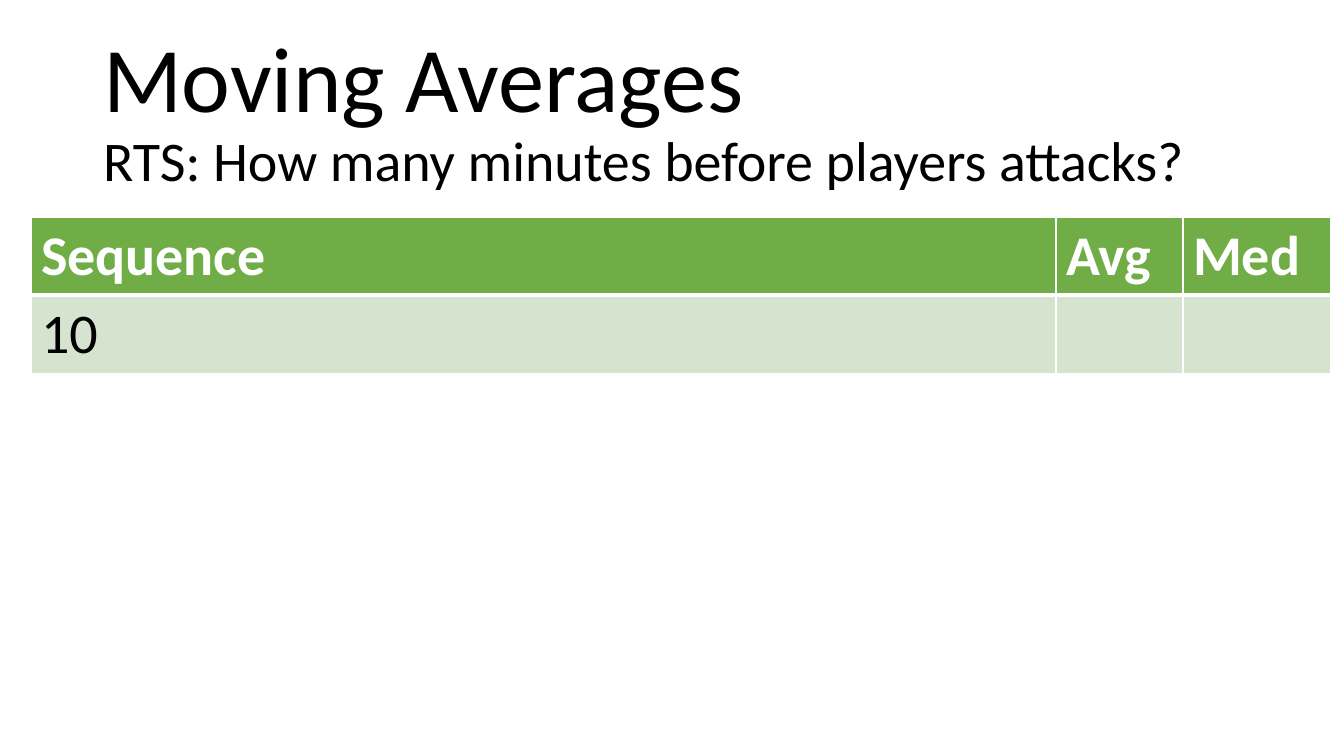
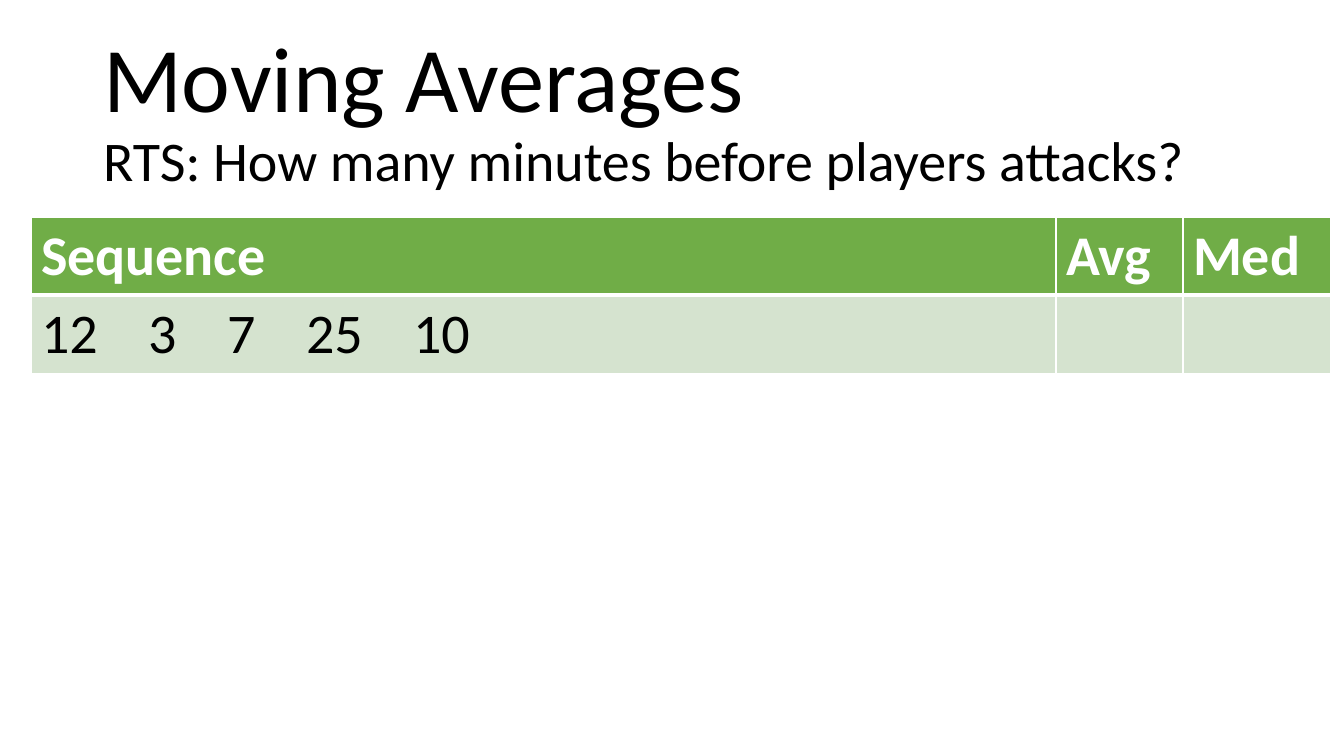
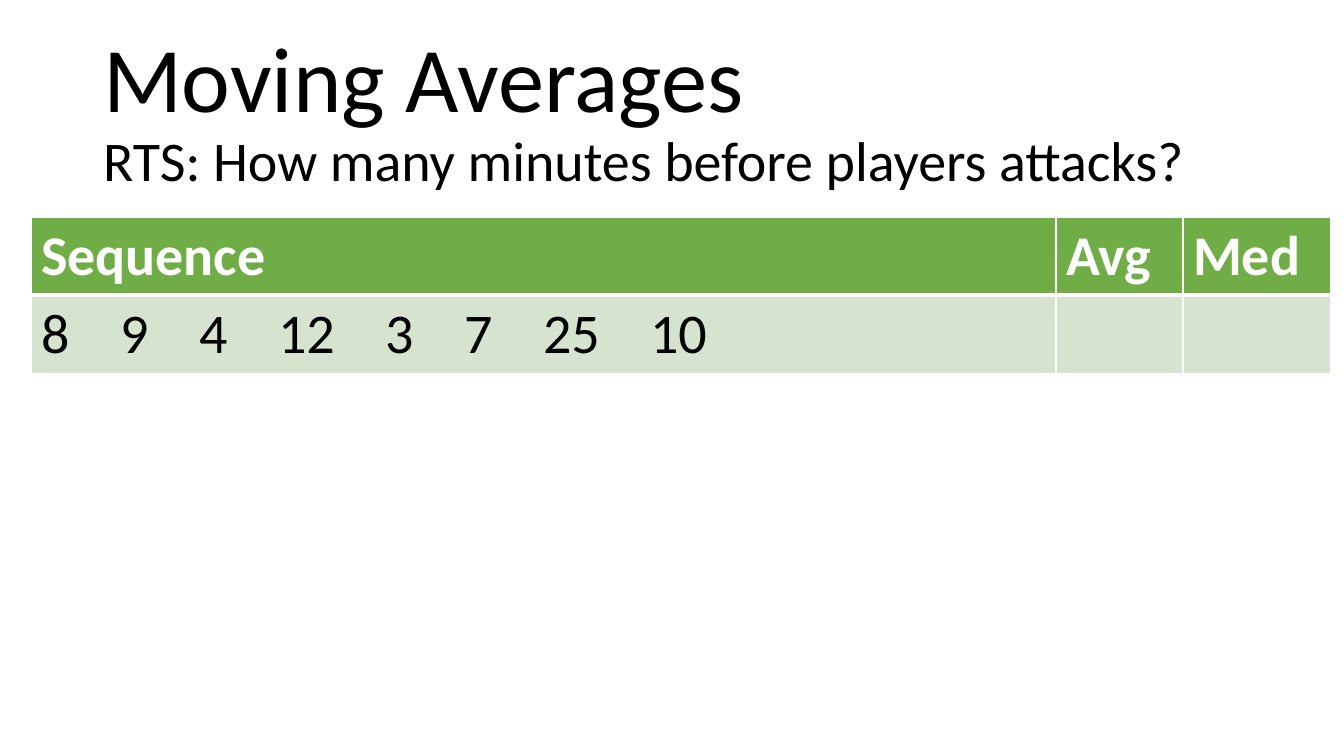
from lxml.etree import SubElement
from pptx import Presentation
from pptx.dml.color import RGBColor
from pptx.enum.text import MSO_ANCHOR, MSO_AUTO_SIZE, PP_ALIGN
from pptx.oxml.ns import qn
from pptx.util import Pt

# Shared look
FONT = "Calibri"
BLACK, WHITE, GREEN, PALE = "000000", "FFFFFF", "70AD47", "D5E3CF"
HEADS = ["Sequence", "Avg", "Med"]
WIDTHS = [1025, 127, 148]
ROW = 77
DIGIT, GAP = 28, 51  # width of one digit, space between numbers

# Sequence on each slide
RUNS = [
    [10],
    [12, 3, 7, 25, 10],
    [8, 9, 4, 12, 3, 7, 25, 10],
]


def px(n):
    return round(n * 914400 / 100.8)


def rgb(code):
    return RGBColor.from_string(code)


def style(run, size, color, bold=False):
    font = run.font
    font.name, font.size, font.bold = FONT, Pt(size), bold
    font.color.rgb = rgb(color)


def place(shape, left, top, width, height):
    shape.left, shape.top = px(left), px(top)
    shape.width, shape.height = px(width), px(height)


def add_title(slide, head, line):
    title = slide.shapes.title
    frame = title.text_frame
    frame.auto_size = MSO_AUTO_SIZE.NONE
    frame.vertical_anchor = MSO_ANCHOR.MIDDLE
    para = frame.paragraphs[0]
    para.text = f"{head}\v{line}"
    para.alignment = PP_ALIGN.LEFT
    para.line_spacing = 0.9
    for run, size in zip(para.runs, (66, 40)):
        style(run, size, BLACK)


def add_tabs(para, nums):
    """Put a tab stop where each number after the first begins."""
    tabs = SubElement(para._p.get_or_add_pPr(), qn("a:tabLst"))
    stop = 0
    for num in nums[:-1]:
        stop += DIGIT * len(str(num)) + GAP
        SubElement(tabs, qn("a:tab"), pos=str(px(stop)), algn="l")


def add_edges(cell, top, bottom):
    props = cell._tc.get_or_add_tcPr()
    for side, width in (("L", 1), ("R", 1), ("T", top), ("B", bottom)):
        line = SubElement(props, qn(f"a:ln{side}"), w=str(Pt(width)))
        fill = SubElement(line, qn("a:solidFill"))
        SubElement(fill, qn("a:srgbClr"), val=WHITE)


def add_row(table, row, texts, back, color, bold, edges):
    table.rows[row].height = px(ROW)
    for col, text in enumerate(texts):
        cell = table.cell(row, col)
        add_edges(cell, *edges)
        cell.fill.solid()
        cell.fill.fore_color.rgb = rgb(back)
        para = cell.text_frame.paragraphs[0]
        para.text = text
        for run in para.runs:
            style(run, 40, color, bold)


def add_grid(slide, nums):
    frame = slide.shapes.add_table(2, len(HEADS), px(31), px(217),
                                   px(sum(WIDTHS)), px(2 * ROW))
    table = frame.table
    table.horz_banding = False
    for col, width in zip(table.columns, WIDTHS):
        col.width = px(width)
    add_row(table, 0, HEADS, GREEN, WHITE, True, (1, 3))
    add_tabs(table.cell(1, 0).text_frame.paragraphs[0], nums)
    texts = ["\t".join(map(str, nums)), "", ""]
    add_row(table, 1, texts, PALE, BLACK, False, (3, 1))


def main():
    deck = Presentation()
    deck.slide_width, deck.slide_height = px(1344), px(756)
    layout = deck.slide_layouts.get_by_name("Title Only")
    place(layout.placeholders[0], 93, 40, 1159, 146)
    for nums in RUNS:
        slide = deck.slides.add_slide(layout)
        add_title(slide, "Moving Averages",
                  "RTS: How many minutes before players attacks?")
        add_grid(slide, nums)
    deck.save("out.pptx")


if __name__ == "__main__":
    main()
